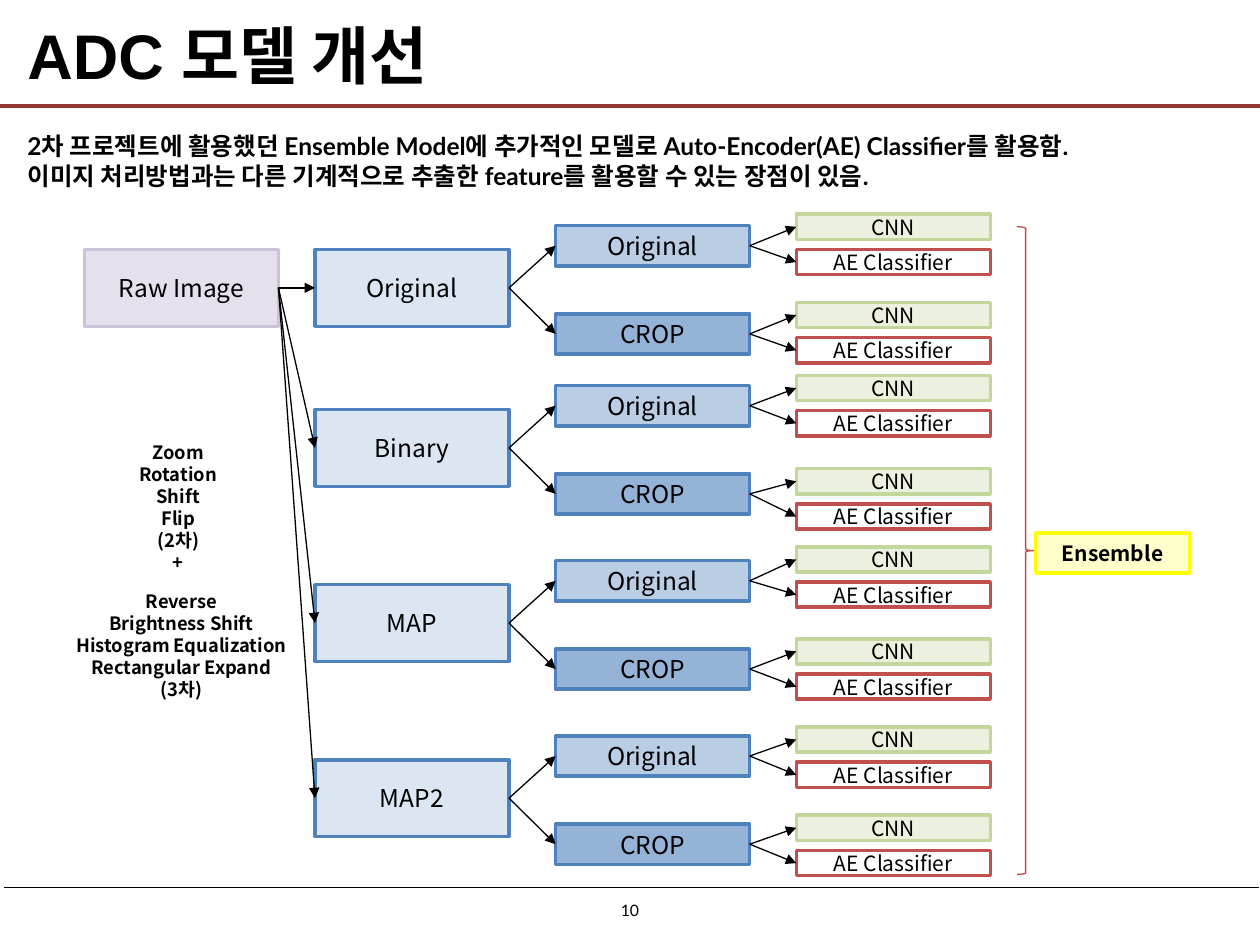
import pptx
import pptx.util
import pptx.dml.color
import pptx.enum.shapes
import pptx.enum.text
import pptx.oxml
import pptx.oxml.ns

Inches = pptx.util.Inches
Pt = pptx.util.Pt
RGBColor = pptx.dml.color.RGBColor
Align = pptx.enum.text.PP_ALIGN
Anchor = pptx.enum.text.MSO_ANCHOR
Preset = pptx.enum.shapes.MSO_SHAPE

BLACK = RGBColor(0x00, 0x00, 0x00)
MAROON = RGBColor(0x95, 0x37, 0x35)
BRACE_RED = RGBColor(0xBF, 0x4C, 0x48)
BLUE = RGBColor(0x4F, 0x81, 0xBD)
RAW_STYLE = (RGBColor(0xE6, 0xE0, 0xEC), RGBColor(0xCC, 0xC1, 0xDA))
STAGE_STYLE = (RGBColor(0xDC, 0xE6, 0xF2), BLUE)
ORIGINAL_STYLE = (RGBColor(0xB9, 0xCD, 0xE5), BLUE)
CROP_STYLE = (RGBColor(0x95, 0xB3, 0xD7), BLUE)
CNN_STYLE = (RGBColor(0xEB, 0xF1, 0xDE), RGBColor(0xC3, 0xD6, 0x9B))
AE_STYLE = (RGBColor(0xFF, 0xFF, 0xFF), RGBColor(0xC0, 0x50, 0x4D))
ENSEMBLE_STYLE = (RGBColor(0xFF, 0xFF, 0xCC), RGBColor(0xFF, 0xFF, 0x00))

KOREAN_FONT = "Noto Sans CJK KR"
NODE_WIDTH = 1.54

STAGES = [
    ("Original", 1.98, (1.70, 2.40)),
    ("Binary", 3.25, (2.98, 3.72)),
    ("MAP", 4.64, (4.34, 5.07)),
    ("MAP2", 6.03, (5.77, 6.47)),
]
VARIANTS = [("Original", -0.19, ORIGINAL_STYLE), ("CROP", 0.51, CROP_STYLE)]
CLASSIFIERS = [("CNN", 0, CNN_STYLE), ("AE Classifier", 0.28, AE_STYLE)]

AUGMENTATIONS_SECOND = ["Zoom", "Rotation", "Shift", "Flip", "(2차)", "+"]
AUGMENTATIONS_THIRD = [
    "Reverse", "Brightness Shift", "Histogram Equalization",
    "Rectangular Expand", "(3차)",
]
SUMMARY = (
    "2차 프로젝트에 활용했던 Ensemble Model에 추가적인 모델로 "
    "Auto-Encoder(AE) Classifier를 활용함.\v"
    "이미지 처리방법과는 다른 기계적으로 추출한 feature를 "
    "활용할 수 있는 장점이 있음."
)


def write_lines(shape, lines, size, font=KOREAN_FONT, bold=False,
                align=Align.CENTER, anchor=Anchor.MIDDLE, spacing=None):
    frame = shape.text_frame
    frame.word_wrap = True
    frame.vertical_anchor = anchor
    frame.text = "\n".join(lines)
    for paragraph in frame.paragraphs:
        paragraph.alignment = align
        if spacing:
            paragraph.line_spacing = Pt(spacing)
        for run in paragraph.runs:
            run.font.size = Pt(size)
            run.font.bold = bold
            run.font.color.rgb = BLACK
            run.font.name = font
            east_asian = pptx.oxml.parse_xml(
                f'<a:ea {pptx.oxml.ns.nsdecls("a")} typeface="{KOREAN_FONT}"/>')
            run.font._element.find(pptx.oxml.ns.qn("a:latin")).addnext(east_asian)


def add_text(slide, box, lines, size, **options):
    shape = slide.shapes.add_textbox(*map(Inches, box))
    write_lines(shape, lines, size, **options)


def add_node(slide, box, label, style, size=14, bold=False):
    shape = slide.shapes.add_shape(Preset.RECTANGLE, *map(Inches, box))
    shape.shadow.inherit = False
    shape.fill.solid()
    shape.fill.fore_color.rgb, shape.line.color.rgb = style
    shape.line.width = Pt(2)
    write_lines(shape, [label], size, bold=bold)
    frame = shape.text_frame
    frame.margin_top = frame.margin_bottom = 0
    return shape


def add_line(slide, start, end, color, width):
    connector = slide.shapes.add_connector(
        pptx.enum.shapes.MSO_CONNECTOR.STRAIGHT, *map(Inches, start + end))
    connector.line.color.rgb = color
    connector.line.width = Pt(width)
    connector._element.spPr.append(
        pptx.oxml.parse_xml(f'<a:effectLst {pptx.oxml.ns.nsdecls("a")}/>'))
    return connector


def add_arrow(slide, source, target):
    connector = add_line(slide, (0, 0), (0, 0), BLACK, 0.75)
    connector.begin_connect(source, 3)
    connector.end_connect(target, 1)
    connector.line._get_or_add_ln().append(pptx.oxml.parse_xml(
        f'<a:tailEnd {pptx.oxml.ns.nsdecls("a")} type="triangle"/>'))


def add_frame(slide, left, top, width, height):
    add_line(slide, (left, top + 0.84), (left + width, top + 0.84), MAROON, 2.25)
    footer = top + height - 0.46
    add_line(slide, (left + 0.03, footer), (left + width - 0.01, footer), BLACK, 0.5)
    add_text(slide, (left + 4.65, footer + 0.06, 0.7, 0.25), ["10"], 9,
             font="Lato", anchor=Anchor.TOP)


def add_heading(slide, left, top, width):
    add_text(slide, (left, top, width, 0.66), ["ADC 모델 개선"], 36,
             font="Arial", bold=True, align=Align.LEFT)
    add_text(slide, (left, top + 0.89, width, 0.87), [SUMMARY], 14, font="Lato",
             bold=True, align=Align.LEFT, anchor=Anchor.TOP, spacing=17)


def add_branch(slide, raw, left, name, top, leaf_tops):
    stage = add_node(slide, (left, top, NODE_WIDTH, 0.61), name, STAGE_STYLE)
    add_arrow(slide, raw, stage)
    for (label, offset, style), leaf_top in zip(VARIANTS, leaf_tops):
        variant = add_node(
            slide, (left + 1.91, top + offset, NODE_WIDTH, 0.32), label, style)
        add_arrow(slide, stage, variant)
        for title, drop, leaf_style in CLASSIFIERS:
            leaf = add_node(slide, (left + 3.82, leaf_top + drop, NODE_WIDTH, 0.2),
                            title, leaf_style, 12)
            add_arrow(slide, variant, leaf)


def add_tree(slide, left, top):
    raw = add_node(slide, (left, top, NODE_WIDTH, 0.61), "Raw Image", RAW_STYLE)
    for name, stage_top, leaf_tops in STAGES:
        add_branch(slide, raw, left + 1.83, name, stage_top, leaf_tops)


def add_augmentations(slide, left, top):
    add_text(slide, (left + 0.03, top, 1.87, 1.25), AUGMENTATIONS_SECOND, 10.5,
             bold=True, spacing=12.6)
    add_text(slide, (left, top + 1.12, 1.98, 1.2), AUGMENTATIONS_THIRD, 10.5,
             bold=True, spacing=12.6)


def add_ensemble(slide, left, top, height):
    brace = slide.shapes.add_shape(
        Preset.RIGHT_BRACE, *map(Inches, (left, top, 0.14, height)))
    brace.shadow.inherit = False
    brace.fill.background()
    brace.line.color.rgb = BRACE_RED
    brace.line.width = Pt(0.75)
    add_node(slide, (left + 0.15, top + 2.43, 1.22, 0.32), "Ensemble",
             ENSEMBLE_STYLE, 12, True)


def main():
    presentation = pptx.Presentation()
    presentation.slide_width = Inches(10)
    presentation.slide_height = Inches(7.5)
    slide = presentation.slides.add_slide(presentation.slide_layouts[6])
    add_frame(slide, 0, 0, 10, 7.5)
    add_heading(slide, 0.12, 0.1, 9.76)
    add_tree(slide, 0.67, 1.98)
    add_augmentations(slide, 0.45, 3.4)
    add_ensemble(slide, 8.07, 1.8, 5.14)
    presentation.save("out.pptx")


if __name__ == "__main__":
    main()
